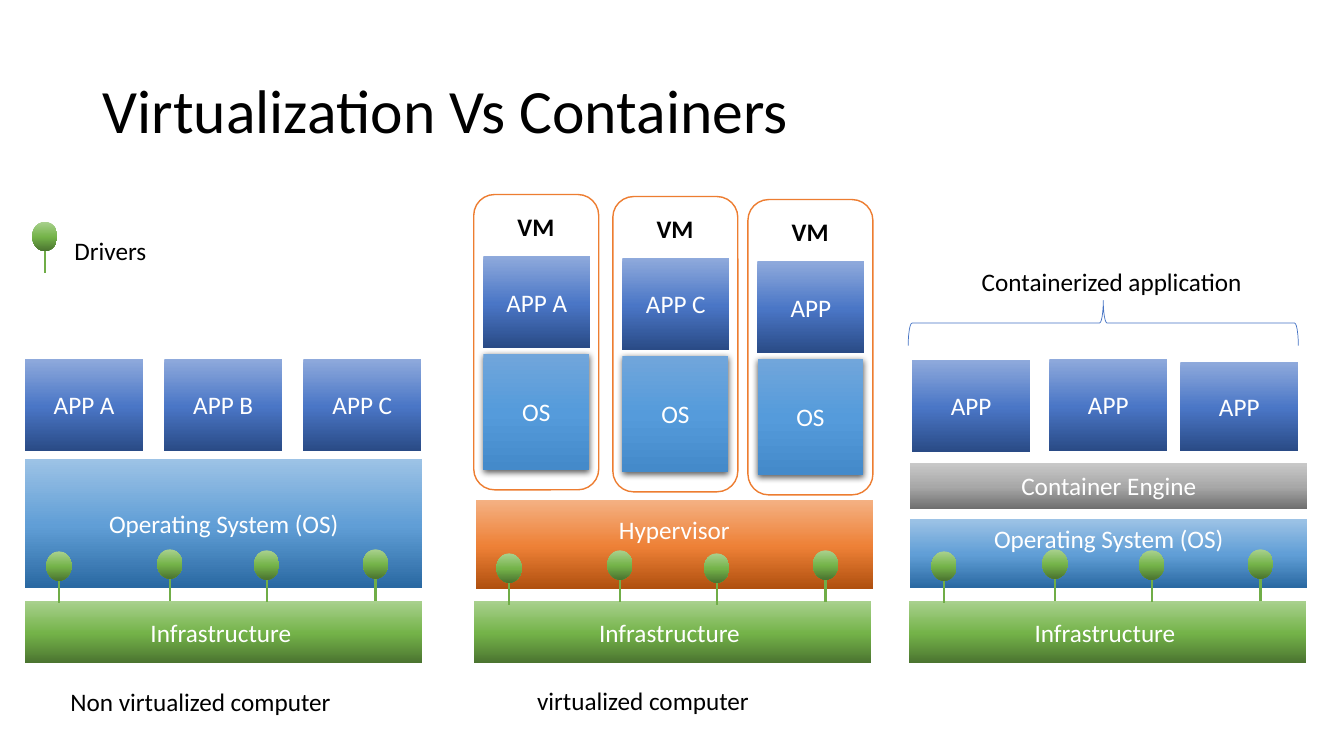
"""Builds the slide that compares virtualization with containers."""
import copy
import dataclasses

import lxml.etree
import pptx
import pptx.dml.color
import pptx.enum.shapes
import pptx.enum.text
import pptx.oxml.ns
import pptx.util

SHAPE = pptx.enum.shapes.MSO_SHAPE
ALIGN = pptx.enum.text.PP_ALIGN
ANCHOR = pptx.enum.text.MSO_ANCHOR
qn = pptx.oxml.ns.qn


@dataclasses.dataclass(frozen=True)
class Theme:
    """Colours as top, middle and bottom of a fill, and type sizes."""
    font: str = "Calibri"
    title: int = 44
    body: int = 18
    black: str = "000000"
    white: str = "FFFFFF"
    stem: str = "70AD47"
    frame: str = "ED7D31"
    brace: str = "4472C4"
    green: tuple = ("A9D18E", "74B349", "4B7430")
    system: tuple = ("9DC3E6", "609ED6", "2A69A2")
    app: tuple = ("8FAADC", "4A76C6", "2A4B86")
    guest: tuple = ("71A6DB", "559BDB", "448ACA")
    hypervisor: tuple = ("F4B183", "EE8137", "B0500F")
    engine: tuple = ("C9C9C9", "A8A8A8", "6F6F6F")


THEME = Theme()
PANEL_W = 39.4
APP_W, APP_H = 11.7, 9.1
DRIVER_STEPS = (0, 11, 20.6, 31.4)


def grid(*cells):
    """Turns grid cells of a tenth of an inch into lengths."""
    return [pptx.util.Inches(cell / 10) for cell in cells]


def rgb(code):
    """Gives the colour for a hex code."""
    return pptx.dml.color.RGBColor.from_string(code)


def write(p, text, color, size=THEME.body, bold=False):
    """Adds one formatted run to a paragraph."""
    r = p.add_run()
    r.text = text
    r.font.name = THEME.font
    r.font.size = pptx.util.Pt(size)
    r.font.bold = bold
    r.font.color.rgb = rgb(color)


def shape(shapes, kind, box):
    """Adds a plain shape with no shadow."""
    sp = shapes.add_shape(kind, *grid(*box))
    sp.shadow.inherit = False
    return sp


def shade(sp, colors, middle=0.52):
    """Fills a shape from top to bottom through three colours."""
    sp.fill.gradient()
    sp.fill.gradient_angle = 270
    stops = sp.element.spPr.find(".//" + qn("a:gsLst"))
    stops.append(copy.deepcopy(stops[0]))
    for stop, color, position in zip(sp.fill.gradient_stops, colors, (0, middle, 1)):
        stop.color.rgb = rgb(color)
        stop.position = position
    sp.line.fill.background()


def block(shapes, text, colors, box, raised=0, middle=0.52):
    """Adds a shaded box with a centred caption, raised by a bottom inset."""
    sp = shape(shapes, SHAPE.RECTANGLE, box)
    shade(sp, colors, middle)
    tf = sp.text_frame
    tf.word_wrap = True
    tf.vertical_anchor = ANCHOR.MIDDLE
    tf.margin_bottom = grid(0.5 + raised)[0]
    p = tf.paragraphs[0]
    p.alignment = ALIGN.CENTER
    write(p, text, THEME.white)
    return sp


def outline(sp, color, width):
    """Draws the edge of a shape."""
    sp.line.color.rgb = rgb(color)
    sp.line.width = pptx.util.Pt(width)


def label(shapes, text, box, bold=False):
    """Adds a text box on one line."""
    tf = shapes.add_textbox(*grid(*box)).text_frame
    tf.word_wrap = False
    tf.auto_size = pptx.enum.text.MSO_AUTO_SIZE.SHAPE_TO_FIT_TEXT
    write(tf.paragraphs[0], text, THEME.black, bold=bold)


def driver(shapes, x, y):
    """Adds a driver pin, a round head on a stem."""
    pin = shapes.add_group_shape().shapes
    shade(shape(pin, SHAPE.OVAL, (x, y, 2.5, 2.9)), THEME.green)
    stem = pin.add_connector(pptx.enum.shapes.MSO_CONNECTOR.STRAIGHT,
                             *grid(x + 1.25, y + 2.95, x + 1.25, y + 5.1))
    outline(stem, THEME.stem, 1.5)
    lxml.etree.SubElement(stem.element.spPr, qn("a:effectLst"))


def drivers(shapes, x, tops):
    """Adds a row of driver pins."""
    for step, top in zip(DRIVER_STEPS, tops):
        driver(shapes, x + step, top)


def cast_shadow(sp):
    """Gives a shape a soft shadow below it."""
    effects = sp.element.spPr.find(qn("a:effectLst"))
    shadow = lxml.etree.SubElement(effects, qn("a:outerShdw"), blurRad="57150",
                                   dist="19050", dir="5400000", rotWithShape="0")
    color = lxml.etree.SubElement(shadow, qn("a:srgbClr"), val=THEME.black)
    lxml.etree.SubElement(color, qn("a:alpha"), val="63000")


def machine(shapes, x, y, app):
    """Adds a virtual machine with its app and guest system."""
    vm = shapes.add_group_shape().shapes
    frame = shape(vm, SHAPE.ROUNDED_RECTANGLE, (x, y, 12.4, 29.3))
    frame.fill.solid()
    frame.fill.fore_color.rgb = rgb(THEME.white)
    outline(frame, THEME.frame, 1)
    cast_shadow(block(vm, "OS", THEME.guest, (x + 0.95, y + 15.8, 10.5, 11.5), middle=0.5))
    block(vm, app, THEME.app, (x + 0.95, y + 6.1, 10.6, APP_H))
    label(vm, "VM", (x + 3.35, y + 1.15, 5.7, 4), bold=True)


def title(s, text):
    """Places and fills the title."""
    sp = s.shapes.title
    sp.left, sp.top, sp.width, sp.height = grid(9.2, 4, 115, 14.5)
    sp.text_frame.vertical_anchor = ANCHOR.MIDDLE
    p = sp.text_frame.paragraphs[0]
    p.alignment = ALIGN.LEFT
    p.line_spacing = 0.9
    write(p, text, THEME.black, THEME.title)


def plain_computer(shapes):
    """Adds the computer without virtualization."""
    x = 2.5
    block(shapes, "Operating System (OS)", THEME.system, (x, 45.5, PANEL_W, 12.8))
    for i, app in enumerate(("APP A", "APP B", "APP C")):
        block(shapes, app, THEME.app, (x + 13.8 * i, 35.6, APP_W, APP_H))
    drivers(shapes, 4.6, (54.7, 54.5, 54.6, 54.5))
    label(shapes, "Non virtualized computer", (6, 67.6, 28.7, 4))


def virtual_computer(shapes):
    """Adds the computer with virtual machines."""
    block(shapes, "Hypervisor", THEME.hypervisor, (47.2, 49.6, PANEL_W, 8.8), raised=3)
    drivers(shapes, 49.25, (54.9, 54.6, 54.9, 54.6))
    for x, y, app in ((74.2, 19.8, "APP"), (47, 19.3, "APP A"), (60.8, 19.5, "APP C")):
        machine(shapes, x, y, app)
    label(shapes, "virtualized computer", (52.3, 67.5, 23.9, 4))


def container_computer(shapes):
    """Adds the computer with containers."""
    x = 90.3
    block(shapes, "Operating System (OS)", THEME.system, (x, 51.5, PANEL_W, 6.8), raised=3)
    drivers(shapes, 92.4, (54.7, 54.5, 54.6, 54.5))
    block(shapes, "Container Engine", THEME.engine, (x, 45.9, PANEL_W, 4.6))
    for left, top, height in ((90.5, 35.7, APP_H), (104.1, 35.6, APP_H), (117.1, 35.9, 8.8)):
        block(shapes, "APP", THEME.app, (left, top, APP_W, height))
    brace = shape(shapes, SHAPE.LEFT_BRACE, (107.2, 12.7, 4.5, 38.7))
    brace.rotation = 90
    brace.fill.background()
    outline(brace, THEME.brace, 0.5)
    label(shapes, "Containerized application", (96.4, 25.9, 28.1, 4))


def main():
    """Builds and saves the slide."""
    prs = pptx.Presentation()
    prs.slide_width, prs.slide_height = grid(133.33, 75)
    s = prs.slides.add_slide(prs.slide_layouts[5])
    title(s, "Virtualization Vs Containers")
    for x in (2.5, 47, 90.2):
        block(s.shapes, "Infrastructure ", THEME.green, (x, 59.6, PANEL_W, 6.2))
    plain_computer(s.shapes)
    driver(s.shapes, 3.2, 22)
    label(s.shapes, "Drivers", (6.4, 22.9, 9.2, 4))
    virtual_computer(s.shapes)
    container_computer(s.shapes)
    prs.save("out.pptx")


if __name__ == "__main__":
    main()
